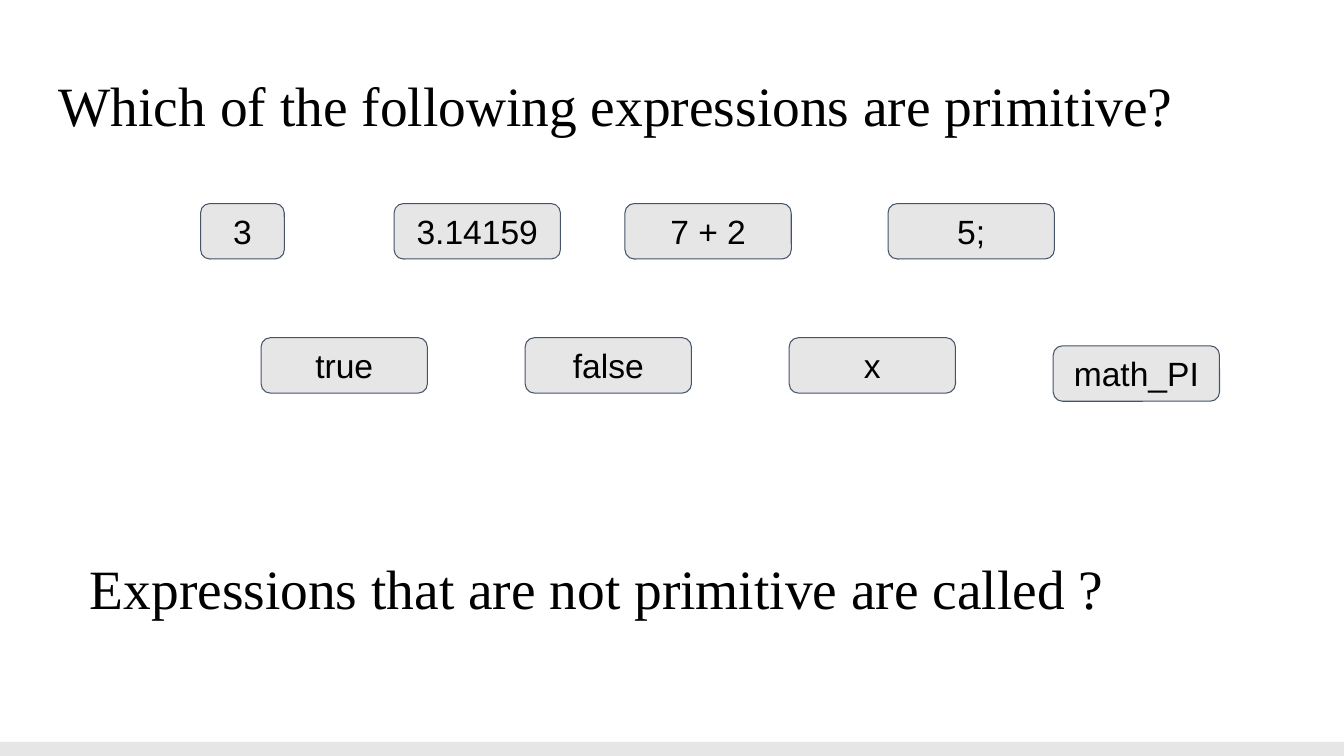
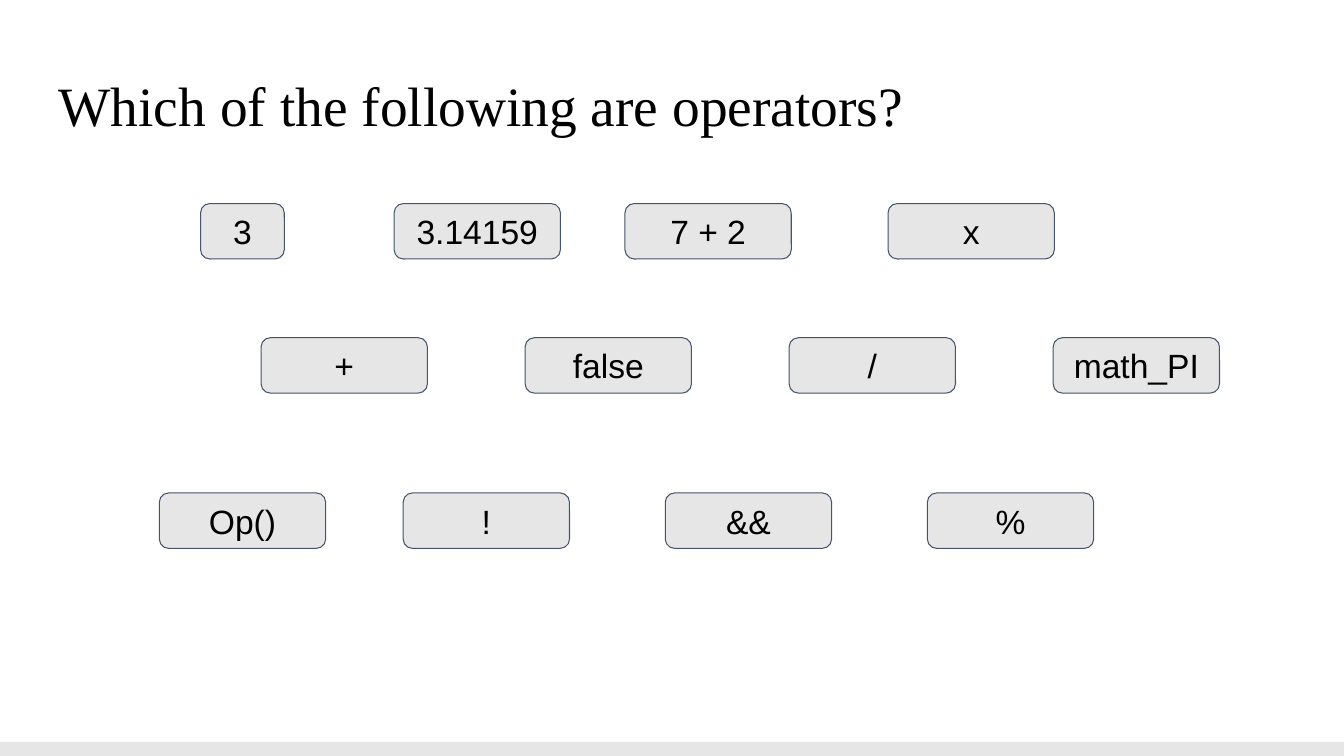
from dataclasses import dataclass

from pptx import Presentation
from pptx import util as u
from pptx.dml.color import RGBColor
from pptx.enum import shapes, text


@dataclass(frozen=True)
class Theme:
    """Hold the colours, fonts and sizes that the slides share."""

    ink: RGBColor = RGBColor(0, 0, 0)
    panel: RGBColor = RGBColor(0xE7, 0xE6, 0xE6)
    outline: RGBColor = RGBColor(0x44, 0x54, 0x6A)
    heading_font: str = "Times New Roman"
    chip_font: str = "Arial"
    heading_size: float = 39.6
    chip_size: float = 24
    line_width: float = 0.75
    inset: float = 9.4
    corner: float = 0.167


@dataclass(frozen=True)
class Box:
    """Describe a region in points."""

    left: float
    top: float
    width: float
    height: float

    def lengths(self):
        """Return the four lengths as point values."""
        return [u.Pt(n) for n in (self.left, self.top, self.width, self.height)]


THEME = Theme()
PAGE = Box(0, 0, 960, 540)
TITLE = Box(32.4, 46.8, 894.2, 64)
CLOSING = Box(54.7, 391.7, 894.2, 64)
CHIP_WIDTH, CHIP_HEIGHT, SHORT_WIDTH = 118.8, 39.6, 59.8
BAND_HEIGHT = 10.1
TOP_ROW = Box(143.3, 145.4, 609.8, CHIP_HEIGHT)
MIDDLE_ROW = Box(186.5, 241.2, 684.6, CHIP_HEIGHT)
BOTTOM_ROW = Box(113.8, 352.1, 667.4, CHIP_HEIGHT)
TOP_OFFSETS = (0, 138.2, 303.1, 491)
MIDDLE_OFFSETS = tuple(188.6 * i for i in range(4))
BOTTOM_OFFSETS = (0,) + tuple(174.2 + 187.2 * i for i in range(3))


def apply(target, formats):
    """Set each named attribute on the target."""
    for name, value in formats.items():
        setattr(target, name, value)


def write(shape, words, font, size, anchor, align, spacing):
    """Put one formatted paragraph into a shape."""
    frame = shape.text_frame
    sides = ("left", "right", "top", "bottom")
    apply(frame, {f"margin_{side}": u.Pt(THEME.inset) for side in sides})
    apply(frame, {"word_wrap": True, "vertical_anchor": anchor})
    para = frame.paragraphs[0]
    apply(para, {"alignment": align, "line_spacing": spacing})
    span = para.add_run()
    span.text = words
    apply(span.font, {"name": font, "size": u.Pt(size)})
    span.font.color.rgb = THEME.ink


def panel(page, kind, box):
    """Add a flat grey shape without an outline."""
    shape = page.shapes.add_shape(kind, *box.lengths())
    shape.shadow.inherit = False
    shape.fill.solid()
    shape.fill.fore_color.rgb = THEME.panel
    shape.line.fill.background()
    return shape


def footer_band(page, box):
    """Draw the band along the bottom of the box."""
    top = box.top + box.height - BAND_HEIGHT
    panel(page, shapes.MSO_SHAPE.RECTANGLE,
          Box(box.left, top, box.width, BAND_HEIGHT))


def heading(page, box, words):
    """Write a large serif line in the box."""
    shape = page.shapes.add_textbox(*box.lengths())
    write(shape, words, THEME.heading_font, THEME.heading_size,
          text.MSO_ANCHOR.TOP, text.PP_ALIGN.LEFT, 0.9)


def chip(page, box, words):
    """Draw a rounded, outlined label."""
    shape = panel(page, shapes.MSO_SHAPE.ROUNDED_RECTANGLE, box)
    shape.adjustments[0] = THEME.corner
    shape.line.color.rgb = THEME.outline
    shape.line.width = u.Pt(THEME.line_width)
    write(shape, words, THEME.chip_font, THEME.chip_size,
          text.MSO_ANCHOR.MIDDLE, text.PP_ALIGN.CENTER, 1.0)


def chip_row(page, box, offsets, labels, first_width=CHIP_WIDTH, last_drop=0):
    """Place labels at offsets from the left of the box."""
    last = len(labels) - 1
    for index, (offset, words) in enumerate(zip(offsets, labels)):
        width = first_width if index == 0 else CHIP_WIDTH
        drop = last_drop if index == last else 0
        place = Box(box.left + offset, box.top + drop, width, box.height)
        chip(page, place, words)


def question_slide(deck, title, top_labels, middle_labels, last_drop=0):
    """Build a question with two rows of labels and return its page."""
    page = deck.slides.add_slide(deck.slide_layouts[6])
    footer_band(page, PAGE)
    heading(page, TITLE, title)
    chip_row(page, TOP_ROW, TOP_OFFSETS, top_labels, first_width=SHORT_WIDTH)
    chip_row(page, MIDDLE_ROW, MIDDLE_OFFSETS, middle_labels, last_drop=last_drop)
    return page


def main():
    """Build and save the deck."""
    deck = Presentation()
    apply(deck, {"slide_width": u.Pt(PAGE.width), "slide_height": u.Pt(PAGE.height)})
    primitives = question_slide(
        deck, "Which of the following expressions are primitive?",
        ("3", "3.14159", "7 + 2", "5;"),
        ("true", "false", "x", "math_PI"), last_drop=5.8)
    heading(primitives, CLOSING, "Expressions that are not primitive are called ?")
    operators = question_slide(
        deck, "Which of the following are operators?",
        ("3", "3.14159", "7 + 2", "x"),
        ("+", "false", "/", "math_PI"))
    chip_row(operators, BOTTOM_ROW, BOTTOM_OFFSETS, ("Op()", "!", "&&", "%"))
    deck.save("out.pptx")


main()
